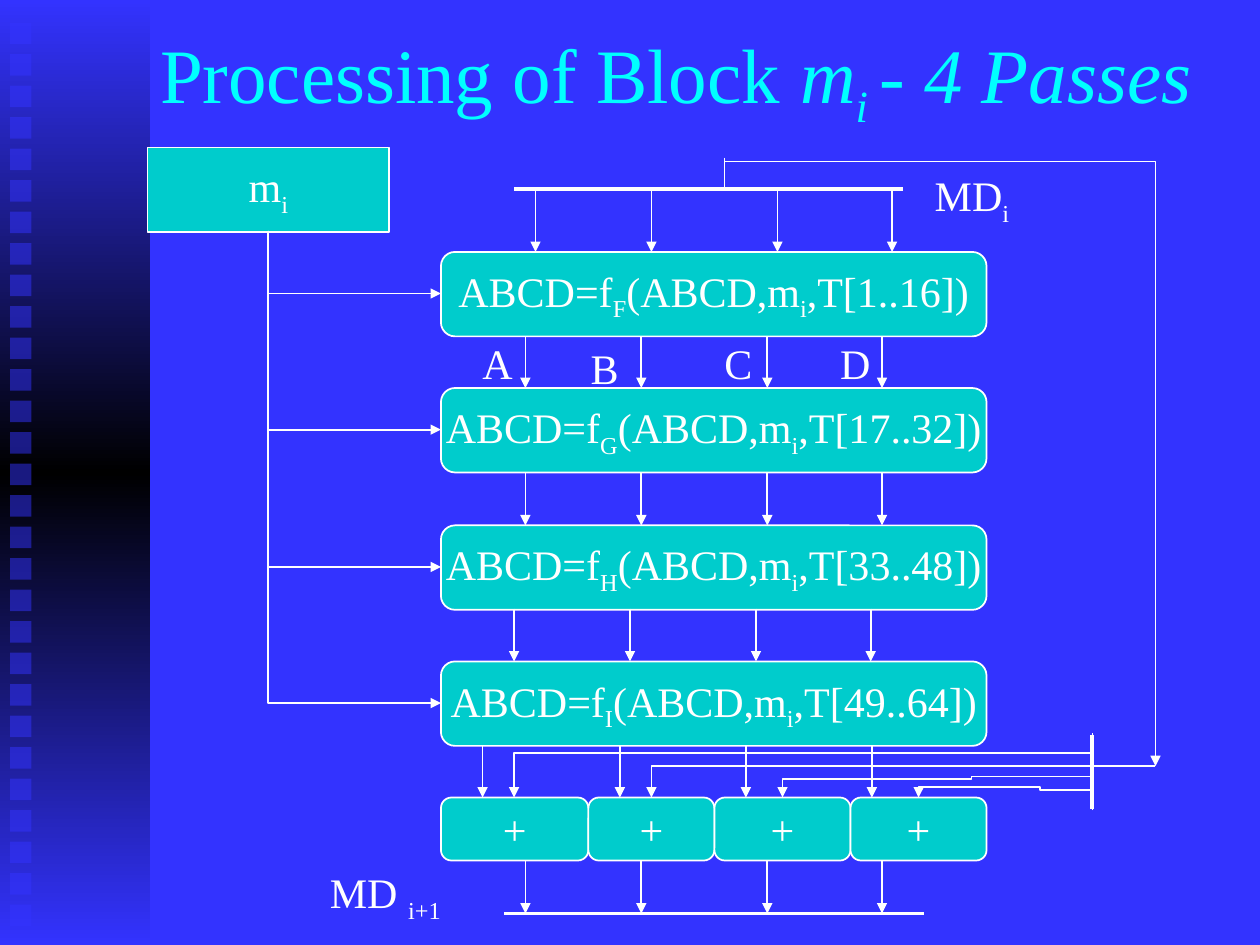
from copy import deepcopy

from pptx import Presentation
from pptx import util as u
from pptx.dml.color import RGBColor
from pptx.enum import shapes, text
from pptx.oxml import ns, xmlchemy

IN = u.Inches
FONT = "Times New Roman"
WHITE, CYAN, TEAL, BLUE = "FFFFFF", "00FFFF", "00CCCC", "3333FF"
RECT = shapes.MSO_SHAPE.RECTANGLE
ROUND = shapes.MSO_SHAPE.FLOWCHART_ALTERNATE_PROCESS
LANES = (0, 0.92, 1.92, 2.83)


def rgb(code):
    return RGBColor.from_string(code)


def child(node, tag, **attrs):
    item = xmlchemy.OxmlElement(tag)
    for key, val in attrs.items():
        item.set(key, str(val))
    node.append(item)
    return item


def write(para, line, size=24, color=WHITE, italic=False):
    """Add runs from a line where every second part between bars is a subscript."""
    for n, part in enumerate(line.split("|")):
        run = para.add_run()
        run.text = part
        font = run.font
        font.name, font.size, font.italic = FONT, u.Pt(size), italic
        font.color.rgb = rgb(color)
        if n % 2:
            run._r.get_or_add_rPr().set("baseline", "-25000")


def shape(slide, kind, x, y, w, h, fill=None):
    item = slide.shapes.add_shape(kind, IN(x), IN(y), IN(w), IN(h))
    item.shadow.inherit = False
    item.line.fill.background()
    if fill:
        item.fill.solid()
        item.fill.fore_color.rgb = rgb(fill)
    return item


def box(slide, kind, x, y, w, h, line):
    item = shape(slide, kind, x, y, w, h, TEAL)
    item.line.color.rgb = rgb(WHITE)
    item.line.width = u.Pt(1)
    frame = item.text_frame
    frame.word_wrap = False
    frame.vertical_anchor = text.MSO_ANCHOR.MIDDLE
    para = frame.paragraphs[0]
    para.alignment = text.PP_ALIGN.CENTER
    write(para, line)


def label(slide, x, y, w, h, line):
    frame = slide.shapes.add_textbox(IN(x), IN(y), IN(w), IN(h)).text_frame
    frame.word_wrap = False
    frame.auto_size = text.MSO_AUTO_SIZE.SHAPE_TO_FIT_TEXT
    write(frame.paragraphs[0], line)


def wire(slide, x1, y1, x2, y2, head=False, width=1, kind=shapes.MSO_CONNECTOR.STRAIGHT):
    item = slide.shapes.add_connector(kind, IN(x1), IN(y1), IN(x2), IN(y2))
    item.line.color.rgb = rgb(WHITE)
    item.line.width = u.Pt(width)
    if head:
        child(item.line._get_or_add_ln(), "a:tailEnd", type="triangle")
    child(item._element.spPr, "a:effectLst")
    return item


def elbow(slide, x1, y1, x2, y2, *bends):
    """Draw a bent arrow that leaves vertically; bends are its adjustments."""
    wide, tall = abs(x2 - x1), abs(y2 - y1)
    left, top = (x1 + x2 - tall) / 2, (y1 + y2 - wide) / 2
    item = wire(slide, left, top, left + tall, top + wide, True,
                kind=shapes.MSO_CONNECTOR.ELBOW)
    form = item._element.spPr.find(ns.qn("a:xfrm"))
    turn = 90 if x2 < x1 and y2 > y1 else 270
    form.set("rot", str(turn * 60000))
    if turn == 270:
        form.set("flipH" if x2 > x1 else "flipV", "1")
    geom = item._element.spPr.find(ns.qn("a:prstGeom"))
    geom.set("prst", f"bentConnector{len(bends) + 2}")
    for old in list(geom):
        geom.remove(old)
    guides = child(geom, "a:avLst")
    for n, bend in enumerate(bends, 1):
        child(guides, "a:gd", name=f"adj{n}", fmla=f"val {round(bend * 100000)}")


def band(slide):
    side = shape(slide, RECT, 0, 0, 1.19, 7.5)
    side.fill.gradient()
    side.fill.gradient_angle = 90
    for stop, color, spot in zip(side.fill.gradient_stops, (BLUE, "000000"), (0, 0.5)):
        stop.color.rgb = rgb(color)
        stop.position = spot
    stops = side._element.spPr.find(".//" + ns.qn("a:gsLst"))
    last = deepcopy(stops[0])
    last.set("pos", "100000")
    stops.append(last)
    for n in range(29):
        dot = shape(slide, RECT, 0.08, 0.18 + n * 0.25, 0.17, 0.17, BLUE)
        tint = dot._element.spPr.find(".//" + ns.qn("a:srgbClr"))
        child(tint, "a:alpha", val=50000)


def title(slide):
    head = slide.shapes.title
    head.left, head.top, head.width, head.height = IN(1.17), IN(0), IN(8.5), IN(1.25)
    frame = head.text_frame
    frame.word_wrap = True
    frame.auto_size = text.MSO_AUTO_SIZE.NONE
    frame.vertical_anchor = text.MSO_ANCHOR.MIDDLE
    para = frame.paragraphs[0]
    para.alignment = text.PP_ALIGN.LEFT
    write(para, "Processing of Block ", 44, CYAN)
    write(para, "m|i |- 4 Passes", 44, CYAN, True)


def passes(slide):
    box(slide, RECT, 1.17, 1.17, 1.92, 0.67, "m|i")
    steps = zip("FGHI", ("1..16", "17..32", "33..48", "49..64"), (2, 3.08, 4.17, 5.25))
    for name, span, y in steps:
        box(slide, ROUND, 3.5, y, 4.33, 0.67, f"ABCD=f|{name}|(ABCD,m|i|,T[{span}])")
        elbow(slide, 2.13, 1.83, 3.5, y + 0.33)
    for x, y, w in zip((3.5, 4.67, 5.67, 6.75), (6.33,) * 4, (1.17, 1, 1.08, 1.08)):
        box(slide, ROUND, x, y, w, 0.5, "+")


def arrows(slide):
    rows = ((4.25, 1.5, 2), (4.17, 2.67, 3.08), (4.17, 3.75, 4.17),
            (4.08, 4.83, 5.25), (4.17, 6.83, 7.25))
    for x, top, end in rows:
        for lane in LANES:
            wire(slide, x + lane, top, x + lane, end, True)
    for x in (3.83, 4.92, 5.92, 6.92):
        wire(slide, x, 5.92, x, 6.33, True)


def digest(slide):
    """Draw the bars of the digest and its way back to the sums."""
    for ends in ((4.08, 1.5, 7.17, 1.5), (4, 7.25, 7.33, 7.25), (8.67, 5.83, 8.67, 6.42)):
        wire(slide, *ends, width=2.25)
    elbow(slide, 8.67, 5.82, 4.08, 6.33, 0.31)
    elbow(slide, 8.67, 5.82, 5.17, 6.33, 0.51)
    elbow(slide, 8.67, 6.43, 6.21, 6.33, 2.66, 0.39, 2.45)
    elbow(slide, 8.67, 6.43, 7.29, 6.33, 1.61, 0.3, 1.82)
    elbow(slide, 5.75, 1.33, 9.17, 6.08, -0.01)
    wire(slide, 8.67, 6.08, 9.17, 6.08)
    wire(slide, 5.75, 1.25, 5.75, 1.5)


def labels(slide):
    for name, x, y in zip("ABCD", (3.73, 4.59, 5.65, 6.57), (2.63, 2.67, 2.63, 2.63)):
        label(slide, x, y, 0.43, 0.5, name)
    label(slide, 7.32, 1.3, 0.79, 0.56, "MD|i")
    label(slide, 2.52, 6.83, 1.08, 0.56, "MD |i+1")


def main():
    deck = Presentation()
    deck.slide_width, deck.slide_height = IN(10), IN(7.5)
    slide = deck.slides.add_slide(deck.slide_layouts[5])
    slide.background.fill.solid()
    slide.background.fill.fore_color.rgb = rgb(BLUE)
    for draw in (band, title, passes, arrows, digest, labels):
        draw(slide)
    deck.save("out.pptx")


if __name__ == "__main__":
    main()
